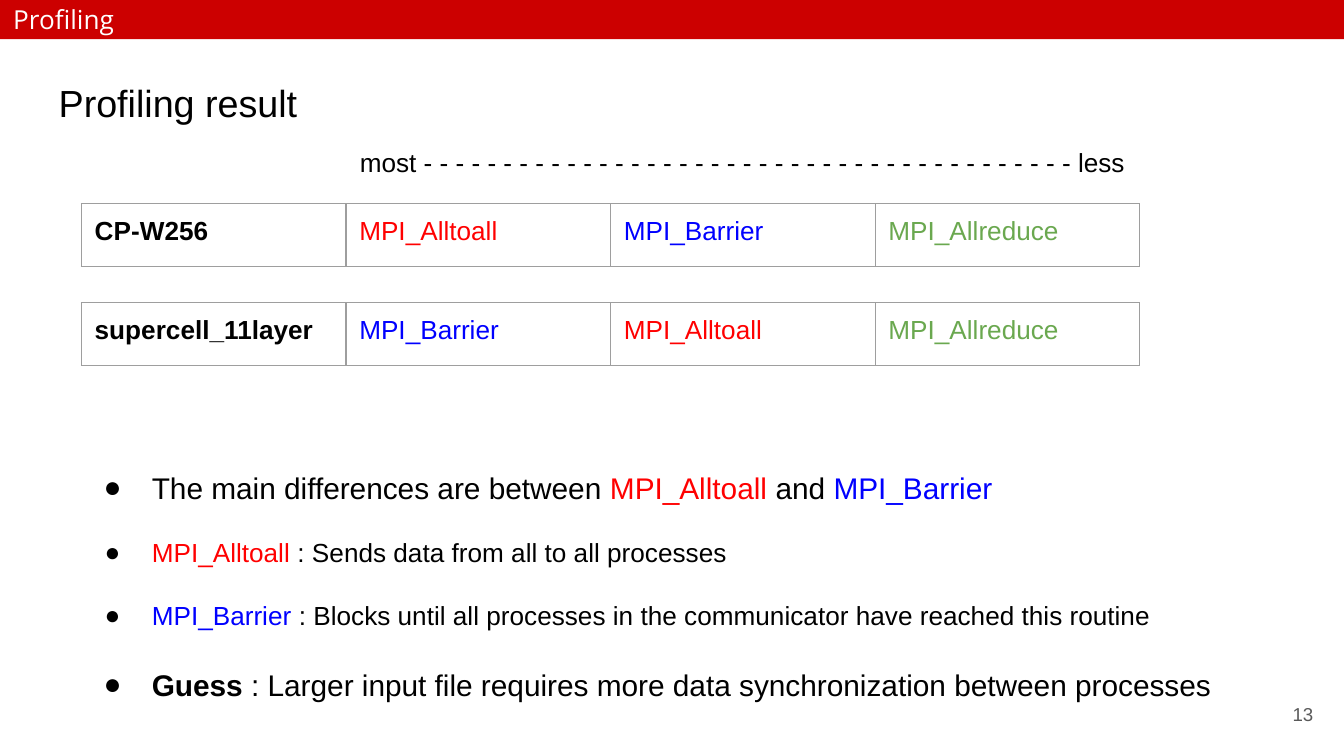
from dataclasses import dataclass

from lxml import etree
from pptx import Presentation
from pptx import util as u
from pptx.dml.color import RGBColor
from pptx.enum import shapes, text
from pptx.oxml import ns

BLACK = RGBColor(0x00, 0x00, 0x00)
WHITE = RGBColor(0xFF, 0xFF, 0xFF)
RED = RGBColor(0xFF, 0x00, 0x00)
BLUE = RGBColor(0x00, 0x00, 0xFF)
GREEN = RGBColor(0x6A, 0xA8, 0x4F)
GRAY = RGBColor(0x59, 0x59, 0x59)
BORDER = RGBColor(0x9E, 0x9E, 0x9E)
BANNER = RGBColor(0xCC, 0x00, 0x00)

INSET = u.Cm(0.25)
COLUMN_WIDTH = u.Cm(5)
ROW_HEIGHT = u.Cm(1.19)
TABLE_LEFT = u.Cm(1.54)


@dataclass(frozen=True)
class Run:
    text: str
    color: RGBColor = BLACK
    size: float = 14
    bold: bool = False
    font: str = "Arial"


@dataclass(frozen=True)
class Box:
    left: float
    top: float
    width: float
    height: float

    def lengths(self) -> list[u.Cm]:
        return [u.Cm(n) for n in (self.left, self.top, self.width, self.height)]


@dataclass(frozen=True)
class Ranking:
    top: float
    cells: tuple[Run, ...]


@dataclass(frozen=True)
class Bullet:
    hanging: float
    runs: tuple[Run, ...]


ALLTOALL = Run("MPI_Alltoall", RED)
BARRIER = Run("MPI_Barrier", BLUE)
ALLREDUCE = Run("MPI_Allreduce", GREEN)

RANKINGS = (
    Ranking(3.85, (Run("CP-W256", bold=True), ALLTOALL, BARRIER, ALLREDUCE)),
    Ranking(5.72, (Run("supercell_11layer", bold=True), BARRIER, ALLTOALL, ALLREDUCE)),
)

BULLETS = (
    Bullet(0.91, (Run("The main differences are between ", size=16),
                  Run("MPI_Alltoall", RED, 16),
                  Run(" and ", size=16),
                  Run("MPI_Barrier", BLUE, 16))),
    Bullet(0.89, (Run("MPI_Alltoall ", RED),
                  Run(": Sends data from all to all processes"))),
    Bullet(0.89, (BARRIER,
                  Run(" : Blocks until all processes in the communicator "
                      "have reached this routine"))),
    Bullet(0.91, (Run("Guess", size=16, bold=True),
                  Run(" : Larger input file requires more data "
                      "synchronization between processes", size=16))),
)


def add_runs(paragraph, runs: tuple[Run, ...]) -> None:
    for item in runs:
        run = paragraph.add_run()
        run.text = item.text
        run.font.name = item.font
        run.font.size = u.Pt(item.size)
        run.font.bold = item.bold
        run.font.color.rgb = item.color


def set_insets(holder) -> None:
    """Give a text frame or a table cell equal margins."""
    holder.margin_left = holder.margin_right = INSET
    holder.margin_top = holder.margin_bottom = INSET


def add_text(slide, box: Box, *runs: Run,
             anchor=text.MSO_ANCHOR.TOP, align=text.PP_ALIGN.LEFT):
    frame = slide.shapes.add_textbox(*box.lengths()).text_frame
    frame.word_wrap = True
    frame.vertical_anchor = anchor
    set_insets(frame)
    frame.paragraphs[0].alignment = align
    add_runs(frame.paragraphs[0], runs)
    return frame


def add_banner(slide, box: Box, run: Run) -> None:
    shape = slide.shapes.add_shape(shapes.MSO_SHAPE.RECTANGLE, *box.lengths())
    shape.shadow.inherit = False
    shape.fill.solid()
    shape.fill.fore_color.rgb = BANNER
    shape.line.fill.background()
    frame = shape.text_frame
    frame.vertical_anchor = text.MSO_ANCHOR.MIDDLE
    set_insets(frame)
    frame.paragraphs[0].alignment = text.PP_ALIGN.LEFT
    add_runs(frame.paragraphs[0], (run,))


def set_borders(cell) -> None:
    properties = cell._tc.get_or_add_tcPr()
    for position, side in enumerate(("lnL", "lnR", "lnT", "lnB")):
        line = etree.Element(ns.qn(f"a:{side}"), w=str(u.Pt(0.75)))
        fill = etree.SubElement(line, ns.qn("a:solidFill"))
        etree.SubElement(fill, ns.qn("a:srgbClr"), val=str(BORDER))
        properties.insert(position, line)


def add_ranking(slide, ranking: Ranking) -> None:
    count = len(ranking.cells)
    table = slide.shapes.add_table(1, count, TABLE_LEFT, u.Cm(ranking.top),
                                   COLUMN_WIDTH * count, ROW_HEIGHT).table
    table.first_row = table.horz_banding = False
    for cell, run in zip(table.iter_cells(), ranking.cells):
        cell.fill.background()
        set_insets(cell)
        set_borders(cell)
        add_runs(cell.text_frame.paragraphs[0], (run,))


def format_bullet(paragraph, bullet: Bullet) -> None:
    paragraph.line_spacing = 2.0
    properties = paragraph._p.get_or_add_pPr()
    properties.set("marL", str(u.Cm(1.27)))
    properties.set("indent", str(-u.Cm(bullet.hanging)))
    color = etree.SubElement(properties, ns.qn("a:buClr"))
    etree.SubElement(color, ns.qn("a:srgbClr"), val=str(BLACK))
    etree.SubElement(properties, ns.qn("a:buFont"), typeface="Arial")
    etree.SubElement(properties, ns.qn("a:buChar"), char="●")
    add_runs(paragraph, bullet.runs)


def add_bullets(slide, box: Box, bullets: tuple[Bullet, ...]) -> None:
    frame = add_text(slide, box)
    for index, bullet in enumerate(bullets):
        paragraph = frame.add_paragraph() if index else frame.paragraphs[0]
        format_bullet(paragraph, bullet)


def main() -> None:
    presentation = Presentation()
    presentation.slide_width = u.Cm(25.4)
    presentation.slide_height = u.Cm(14.29)
    slide = presentation.slides.add_slide(presentation.slide_layouts[6])

    # Heading
    add_text(slide, Box(0.86, 1.25, 23.67, 1.6), Run("Profiling result", size=20.2))
    add_banner(slide, Box(0, 0, 25.4, 0.74),
               Run("Profiling", WHITE, font="Open Sans"))

    # Rankings from most to least used routine
    add_text(slide, Box(6.55, 2.51, 15.01, 1.12),
             Run("most - - - - - - - - - - - - - - - - - - - - "
                 "- - - - - - - - - - - - - - - - - - - - - less"))
    for ranking in RANKINGS:
        add_ranking(slide, ranking)

    # Findings
    add_bullets(slide, Box(1.35, 7.95, 22.56, 4.95), BULLETS)

    # Page number
    add_text(slide, Box(23.55, 12.95, 1.52, 1.09), Run("13", GRAY, 10),
             anchor=text.MSO_ANCHOR.MIDDLE, align=text.PP_ALIGN.RIGHT)

    presentation.save("out.pptx")


if __name__ == "__main__":
    main()
